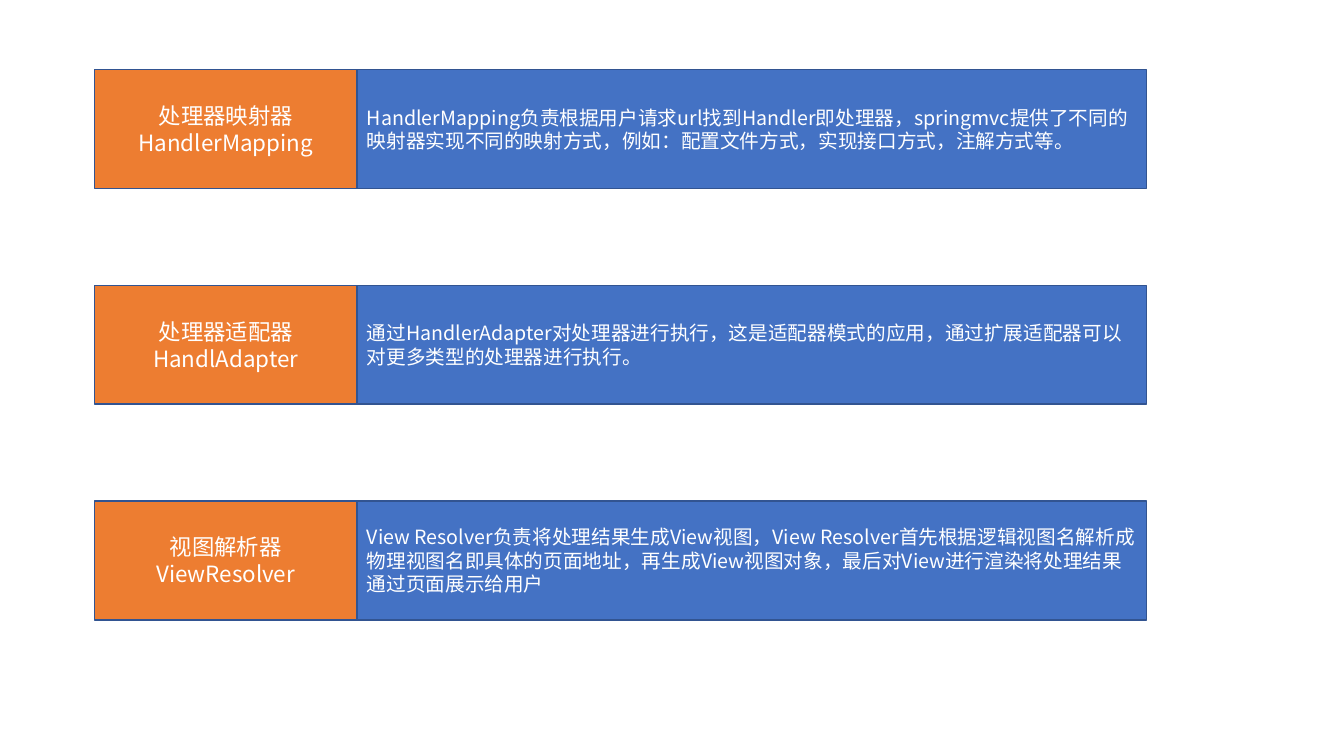
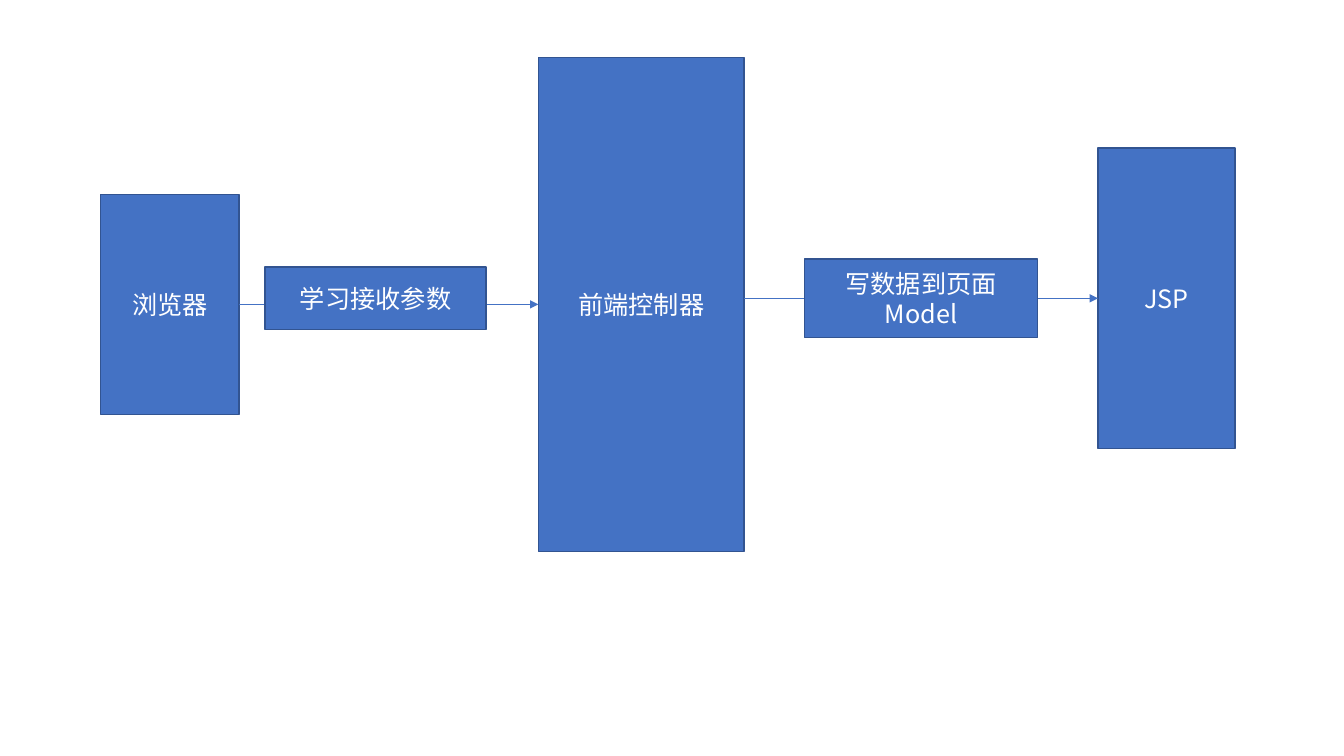
from typing import NamedTuple, Optional

from lxml.etree import SubElement
from pptx import Presentation
from pptx.dml.color import RGBColor
from pptx.enum.shapes import MSO_CONNECTOR, MSO_SHAPE
from pptx.enum.text import MSO_ANCHOR, PP_ALIGN
from pptx.oxml.ns import qn
from pptx.shapes.autoshape import Shape
from pptx.shapes.connector import Connector
from pptx.slide import Slide
from pptx.util import Pt

# Shared look; 100 px to the inch
PX = 9144
FONT = "Noto Sans CJK SC"
WHITE = RGBColor(0xFF, 0xFF, 0xFF)
BLUE = RGBColor(0x44, 0x72, 0xC4)
NAVY = RGBColor(0x32, 0x54, 0x91)
ORANGE = RGBColor(0xED, 0x7D, 0x31)
RIGHT, LEFT = 3, 1  # connection sites of a rectangle


class Box(NamedTuple):
    x: int
    y: int
    w: int
    h: int
    text: str


class Part(NamedTuple):
    name: str
    note: str


PARTS = [
    Part("处理器映射器\nHandlerMapping",
         "HandlerMapping负责根据用户请求url找到Handler即处理器，springmvc提供了"
         "不同的映射器实现不同的映射方式，例如：配置文件方式，实现接口方式，注解方式等。"),
    Part("处理器适配器\nHandlAdapter",
         "通过HandlerAdapter对处理器进行执行，这是适配器模式的应用，"
         "通过扩展适配器可以对更多类型的处理器进行执行。"),
    Part("视图解析器\nViewResolver",
         "View Resolver负责将处理结果生成View视图，View Resolver首先根据逻辑视图名"
         "解析成物理视图名即具体的页面地址，再生成View视图对象，"
         "最后对View进行渲染将处理结果通过页面展示给用户"),
]

# Rows of the parts slide
ROW_X, ROW_Y, ROW_H, STEP = 94, 69, 118, 214
NAME_W, NOTE_W = 260, 783

# Boxes of the flow slide
BROWSER = Box(100, 193, 137, 218, "浏览器")
FRONT = Box(534, 57, 204, 490, "前端控制器")
PAGE = Box(1089, 147, 136, 298, "JSP")
PARAMS = Box(263, 265, 219, 62, "学习接收参数")
MODEL = Box(798, 257, 231, 78, "写数据到页面\nModel")


def write(shape: Shape, text: str, *, size: int = 18,
          align: PP_ALIGN = PP_ALIGN.CENTER, color: RGBColor = WHITE) -> None:
    """Fill a shape with text, one paragraph a line."""
    frame = shape.text_frame
    frame.text = text
    frame.word_wrap = True
    frame.vertical_anchor = MSO_ANCHOR.MIDDLE
    for para in frame.paragraphs:
        para.alignment = align
        for run in para.runs:
            run.font.size = Pt(size)
            run.font.color.rgb = color
            run.font.name = FONT
    # East Asian text needs its own typeface entry
    for props in shape.element.iter(qn("a:rPr")):
        SubElement(props, qn("a:ea"), typeface=FONT)


def draw(slide: Slide, box: Box, *, fill: RGBColor = BLUE, size: int = 18,
         align: PP_ALIGN = PP_ALIGN.CENTER) -> Shape:
    """Add an outlined rectangle with its text."""
    shape = slide.shapes.add_shape(
        MSO_SHAPE.RECTANGLE, box.x * PX, box.y * PX, box.w * PX, box.h * PX)
    shape.shadow.inherit = False
    shape.fill.solid()
    shape.fill.fore_color.rgb = fill
    shape.line.color.rgb = NAVY
    shape.line.width = Pt(1)
    write(shape, box.text, size=size, align=align)
    return shape


def arrow(slide: Slide, x: int, y: int, end: Shape,
          start: Optional[Shape] = None) -> Connector:
    """Add a level arrow from a point or shape to the left side of a shape."""
    line = slide.shapes.add_connector(
        MSO_CONNECTOR.STRAIGHT, x * PX, y * PX, end.left, y * PX)
    if start is not None:
        line.begin_connect(start, RIGHT)
    line.end_connect(end, LEFT)
    line.line.color.rgb = BLUE
    line.line.width = Pt(0.5)
    props = line.element.spPr
    SubElement(props.find(qn("a:ln")), qn("a:tailEnd"), type="triangle")
    SubElement(props, qn("a:effectLst"))
    return line


def add_parts(slide: Slide) -> None:
    """Three rows: part name and what it does."""
    for i, part in enumerate(PARTS):
        y = ROW_Y + i * STEP
        draw(slide, Box(ROW_X, y, NAME_W, ROW_H, part.name),
             fill=ORANGE, size=16)
        draw(slide, Box(ROW_X + NAME_W, y, NOTE_W, ROW_H, part.note),
             size=14, align=PP_ALIGN.LEFT)


def add_flow(slide: Slide) -> None:
    """Browser to front controller to page."""
    browser, front, page = (draw(slide, b) for b in (BROWSER, FRONT, PAGE))
    arrow(slide, BROWSER.x + BROWSER.w, BROWSER.y + BROWSER.h // 2,
          front, start=browser)
    arrow(slide, FRONT.x + FRONT.w, PAGE.y + PAGE.h // 2, page)
    # Labels lie over the arrows
    for label in (PARAMS, MODEL):
        draw(slide, label)


def main() -> None:
    deck = Presentation()
    deck.slide_width, deck.slide_height = 1333 * PX, 750 * PX
    blank = deck.slide_layouts[6]
    for build in (add_parts, add_flow):
        build(deck.slides.add_slide(blank))
    deck.save("out.pptx")


if __name__ == "__main__":
    main()
